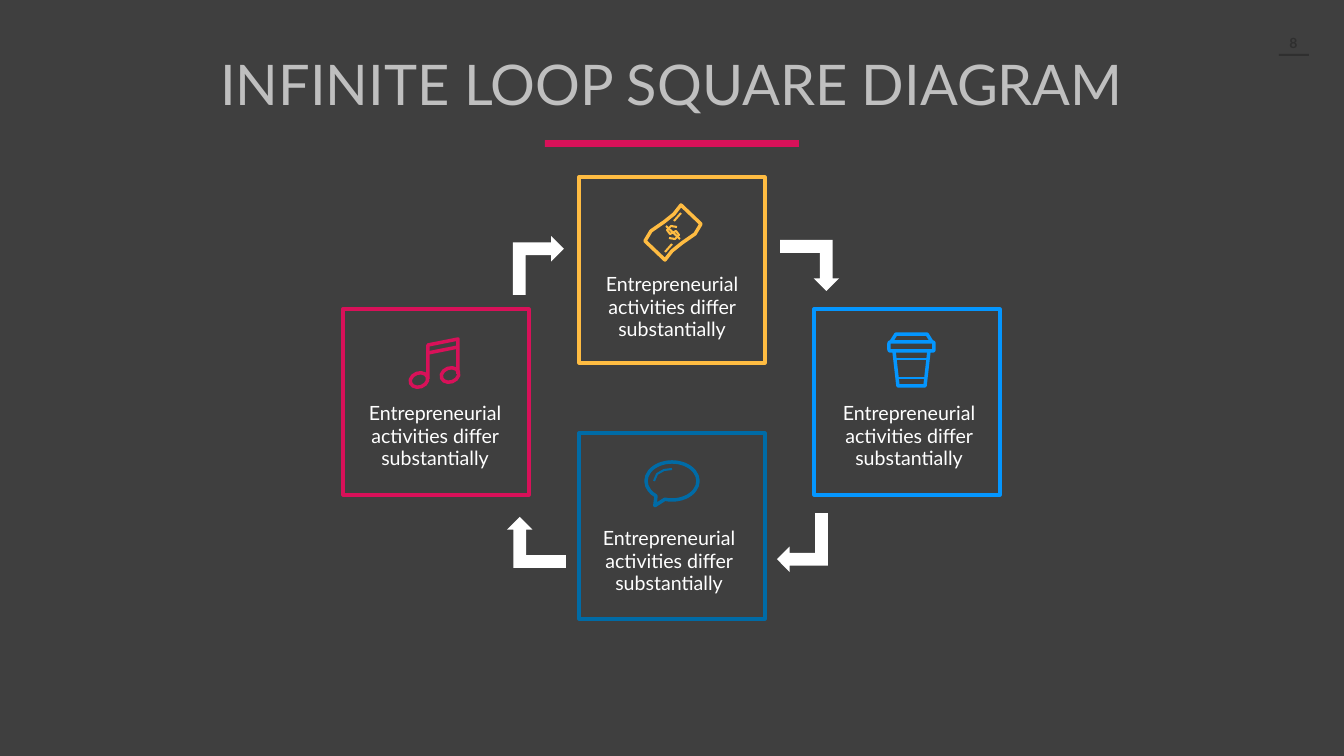
from pptx import Presentation
from pptx.dml.color import RGBColor
from pptx.enum.shapes import MSO_SHAPE
from pptx.enum.text import MSO_AUTO_SIZE, PP_ALIGN
from pptx.util import Pt

RECT = MSO_SHAPE.RECTANGLE
ROUND = MSO_SHAPE.ROUNDED_RECTANGLE
OVAL = MSO_SHAPE.OVAL
SPEECH = MSO_SHAPE.OVAL_CALLOUT
BENT = MSO_SHAPE.BENT_UP_ARROW
CENTER = PP_ALIGN.CENTER
GROW = MSO_AUTO_SIZE.SHAPE_TO_FIT_TEXT
FONT = "Lato"
DARK, WHITE, GREY = "3F3F3F", "FFFFFF", "2F2F2F"
GOLD, PINK, NAVY, BLUE = "FFBC42", "D81159", "006BA6", "0496FF"
PHRASE = "Entrepreneurial activities differ substantially"
THICK, THIN = 5, 3


def px(n):
    """Turn picture pixels into EMU."""
    return round(n * 914400 / 50.4)


def paint(target, color):
    """Give a fill or line fill one solid colour."""
    target.solid()
    target.fore_color.rgb = RGBColor.from_string(color)


def block(shapes, box, fill, edge=None, kind=RECT, width=4.5):
    """Add a preset shape with a fill and an optional outline."""
    shape = shapes.add_shape(kind, *map(px, box))
    shape.shadow.inherit = False
    paint(shape.fill, fill)
    if edge:
        paint(shape.line.fill, edge)
        shape.line.width = Pt(width)
    else:
        shape.line.fill.background()
    return shape


def label(shapes, box, text, size, color, gap, pad=(5, 3), bold=False):
    """Add a centred text box."""
    frame = shapes.add_textbox(*map(px, box)).text_frame
    frame.word_wrap = True
    frame.auto_size = GROW
    frame.margin_left = frame.margin_right = px(pad[0])
    frame.margin_top = frame.margin_bottom = px(pad[1])
    frame.text = text
    para = frame.paragraphs[0]
    para.alignment = CENTER
    para.line_spacing = gap
    font = para.runs[0].font
    font.name, font.size, font.bold = FONT, Pt(size), bold
    font.color.rgb = RGBColor.from_string(color)


def arrow(shapes, x, y, turn):
    """Add a mirrored bent arrow, turned by some degrees."""
    shape = block(shapes, (x, y, 59, 51), WHITE, kind=BENT)
    shape.rotation = turn
    shape._element.spPr.xfrm.set("flipH", "1")


def stroke(shapes, x, y, pts, color, width=THICK, close=False):
    """Draw an unfilled outline through points given from a corner."""
    pen = shapes.build_freeform(*pts[0], scale=px(1))
    pen.add_line_segments(pts[1:], close=close)
    shape = pen.convert_to_shape(px(x), px(y))
    shape.shadow.inherit = False
    shape.fill.background()
    paint(shape.line.fill, color)
    shape.line.width = Pt(width)


def money(shapes, x, y, color):
    """Draw a waving bank note, whose halves are turned copies."""
    def turned(pts):
        return [(60 - a, 59 - b) for a, b in pts]

    side = [(38, 2), (58, 21), (52, 31), (39, 40), (29, 48)]
    curl = [(34, 24), (28, 23), (24, 27), (27, 31)]
    streak = [(29, 41), (22, 49)]
    stroke(shapes, x, y, side + turned(side), color, close=True)
    stroke(shapes, x, y, curl + turned(curl)[::-1], color, THIN)
    stroke(shapes, x, y, [(23, 23), (37, 36)], color, THIN)
    for pts in (streak, turned(streak)):
        stroke(shapes, x, y, pts, color, THIN)


def notes(shapes, x, y, color):
    """Draw two joined music notes."""
    for left, top in [(2, 36), (33, 31)]:
        head = block(shapes, (x + left, y + top, 18, 14), DARK, color,
                     OVAL, THICK)
        head.rotation = -20
    stroke(shapes, x, y, [(20, 42), (20, 8), (50, 2), (50, 37)], color)
    stroke(shapes, x, y, [(20, 16), (50, 10)], color)


def bubble(shapes, x, y, color):
    """Draw a speech bubble with a glint."""
    shape = block(shapes, (x + 2, y + 2, 52, 38), DARK, color, SPEECH, THICK)
    shape.adjustments[0] = -0.33
    shape.adjustments[1] = 0.65
    stroke(shapes, x, y, [(10, 21), (13, 14), (20, 10), (28, 9)], color, THIN)


def cup(shapes, x, y, color):
    """Draw a paper cup with a lid and a sleeve."""
    stroke(shapes, x, y, [(4, 10), (9, 2), (40, 2), (45, 10)], color)
    stroke(shapes, x, y, [(7, 19), (11, 54), (38, 54), (42, 19)], color)
    for inset, level in [(8, 27), (10, 46)]:
        stroke(shapes, x, y, [(inset, level), (49 - inset, level)],
               color, THIN)
    block(shapes, (x + 2, y + 10, 45, 9), DARK, color, ROUND, THICK)


def main():
    """Build the slide and save it."""
    deck = Presentation()
    deck.slide_width, deck.slide_height = px(1344), px(756)
    slide = deck.slides.add_slide(deck.slide_layouts[6])
    paint(slide.background.fill, DARK)
    shapes = slide.shapes

    block(shapes, (1279, 54, 30, 2), GREY)
    label(shapes, (1274, 32, 39, 26), "8", 20, GREY, 1, bold=True)

    cards = [
        ((579, 177), (587, 269), (643, 203), money, GOLD),
        ((343, 309), (350, 398), (408, 337), notes, PINK),
        ((579, 433), (584, 523), (644, 460), bubble, NAVY),
        ((814, 309), (824, 398), (887, 332), cup, BLUE),
    ]
    for box, words, mark, draw, color in cards:
        block(shapes, (*box, 186, 186), DARK, color)
        label(shapes, (*words, 170, 81), PHRASE, 28, WHITE, 0.95, (10, 5))
        draw(shapes.add_group_shape().shapes, *mark, color)

    for x, y, turn in [(509, 240, 90), (780, 240, 180),
                       (773, 517, 270), (507, 517, 0)]:
        arrow(shapes, x, y, turn)

    block(shapes, (545, 140, 254, 7), PINK)
    label(shapes, (78, 54, 1188, 66), "INFINITE LOOP SQUARE DIAGRAM",
          80, "BFBFBF", 0.9)
    deck.save("out.pptx")


main()
